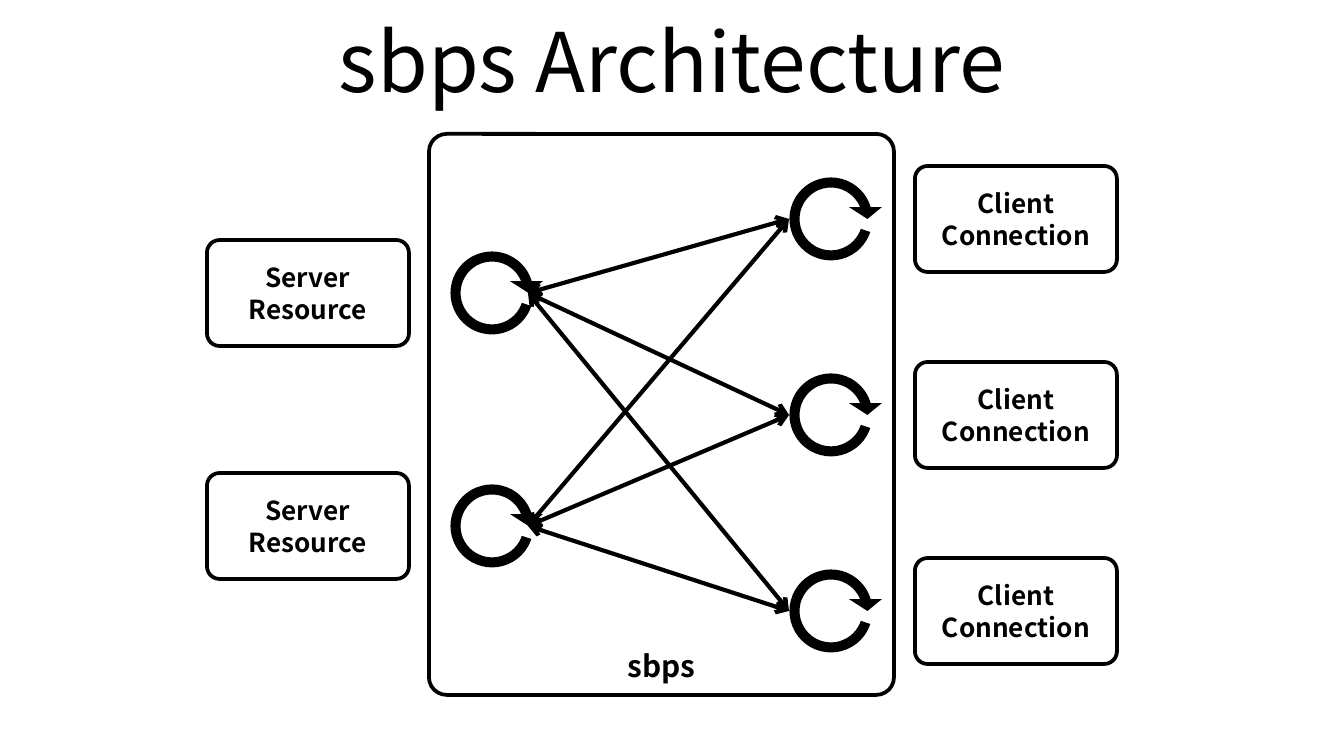
from dataclasses import dataclass

import pptx
import pptx.dml.color
import pptx.enum.shapes
import pptx.enum.text
import pptx.oxml
import pptx.oxml.ns
import pptx.util

BLACK = pptx.dml.color.RGBColor(0x00, 0x00, 0x00)
WHITE = pptx.dml.color.RGBColor(0xFF, 0xFF, 0xFF)
FONT = "Noto Sans CJK KR"
PX_PER_INCH = 134.4
SHAPES = pptx.enum.shapes.MSO_SHAPE
ANCHOR = pptx.enum.text.MSO_ANCHOR

NODE_WIDTH, NODE_HEIGHT = 202, 106
LOOP_SIZE = 106
LOOP_ADJUSTMENTS = (0.095, 11.423, 204.577, 10.992, 0.156)


@dataclass(frozen=True)
class Side:
    """A column of nodes, each with its event loop inside the sbps box."""
    lines: tuple[str, ...]
    node_left: int
    loop_left: int
    link_x: int
    first_top: int
    step: int
    count: int

    def tops(self) -> list[int]:
        return [self.first_top + i * self.step for i in range(self.count)]


SERVERS = Side(("Server", "Resource"), 207, 439, 528, 240, 233, 2)
CLIENTS = Side(("Client", "Connection"), 915, 778, 789, 166, 196, 3)


def px(length: int) -> int:
    return pptx.util.Inches(length / PX_PER_INCH)


def write_line(paragraph, words: str, size: int, bold: bool) -> None:
    paragraph.alignment = pptx.enum.text.PP_ALIGN.CENTER
    run = paragraph.add_run()
    run.text = words
    run.font.name = FONT
    run.font.size = pptx.util.Pt(size)
    run.font.bold = bold
    run.font.color.rgb = BLACK


def add_box(left: int, top: int, width: int, height: int, corner: float,
            lines: tuple[str, ...], size: int, anchor) -> None:
    box = slide.shapes.add_shape(SHAPES.ROUNDED_RECTANGLE,
                                 px(left), px(top), px(width), px(height))
    box.adjustments[0] = corner
    box.shadow.inherit = False
    box.fill.solid()
    box.fill.fore_color.rgb = WHITE
    box.line.color.rgb = BLACK
    box.line.width = pptx.util.Pt(2)
    frame = box.text_frame
    frame.word_wrap = True
    frame.vertical_anchor = anchor
    for i, words in enumerate(lines):
        paragraph = frame.add_paragraph() if i else frame.paragraphs[0]
        if len(lines) > 1:
            paragraph.line_spacing = pptx.util.Pt(17)
        write_line(paragraph, words, size, True)


def add_loop(left: int, top: int) -> None:
    loop = slide.shapes.add_shape(SHAPES.CIRCULAR_ARROW, px(left), px(top),
                                  px(LOOP_SIZE), px(LOOP_SIZE))
    for i, value in enumerate(LOOP_ADJUSTMENTS):
        loop.adjustments[i] = value
    loop.shadow.inherit = False
    loop.fill.solid()
    loop.fill.fore_color.rgb = BLACK
    loop.line.fill.background()


def add_link(start_y: int, end_y: int) -> None:
    link = slide.shapes.add_connector(
        pptx.enum.shapes.MSO_CONNECTOR.STRAIGHT,
        px(SERVERS.link_x), px(start_y), px(CLIENTS.link_x), px(end_y))
    link.line.color.rgb = BLACK
    link.line.width = pptx.util.Pt(2.25)
    outline = link.line._get_or_add_ln()
    for end in ("a:headEnd", "a:tailEnd"):
        arrow = pptx.oxml.xmlchemy.OxmlElement(end)
        arrow.set("type", "arrow")
        outline.append(arrow)
    link._element.spPr.append(pptx.oxml.xmlchemy.OxmlElement("a:effectLst"))


deck = pptx.Presentation()
deck.slide_width, deck.slide_height = px(1344), px(756)
slide = deck.slides.add_slide(deck.slide_layouts[5])

# Title
title = slide.shapes.title
title.left, title.top, title.width, title.height = px(67), px(-3), px(1210), px(126)
title.text_frame.auto_size = pptx.enum.text.MSO_AUTO_SIZE.NONE
title.text_frame.vertical_anchor = ANCHOR.MIDDLE
write_line(title.text_frame.paragraphs[0], "sbps Architecture", 44, False)

# The sbps process
add_box(429, 134, 465, 561, 0.038, ("sbps",), 16, ANCHOR.BOTTOM)

# Nodes and their event loops
for side in (SERVERS, CLIENTS):
    for node_top in side.tops():
        add_box(side.node_left, node_top, NODE_WIDTH, NODE_HEIGHT, 0.119,
                side.lines, 14, ANCHOR.MIDDLE)
        add_loop(side.loop_left, node_top)

# Every server loop talks to every client loop
for server_top in SERVERS.tops():
    for client_top in CLIENTS.tops():
        add_link(server_top + LOOP_SIZE // 2, client_top + LOOP_SIZE // 2)

deck.save("out.pptx")
